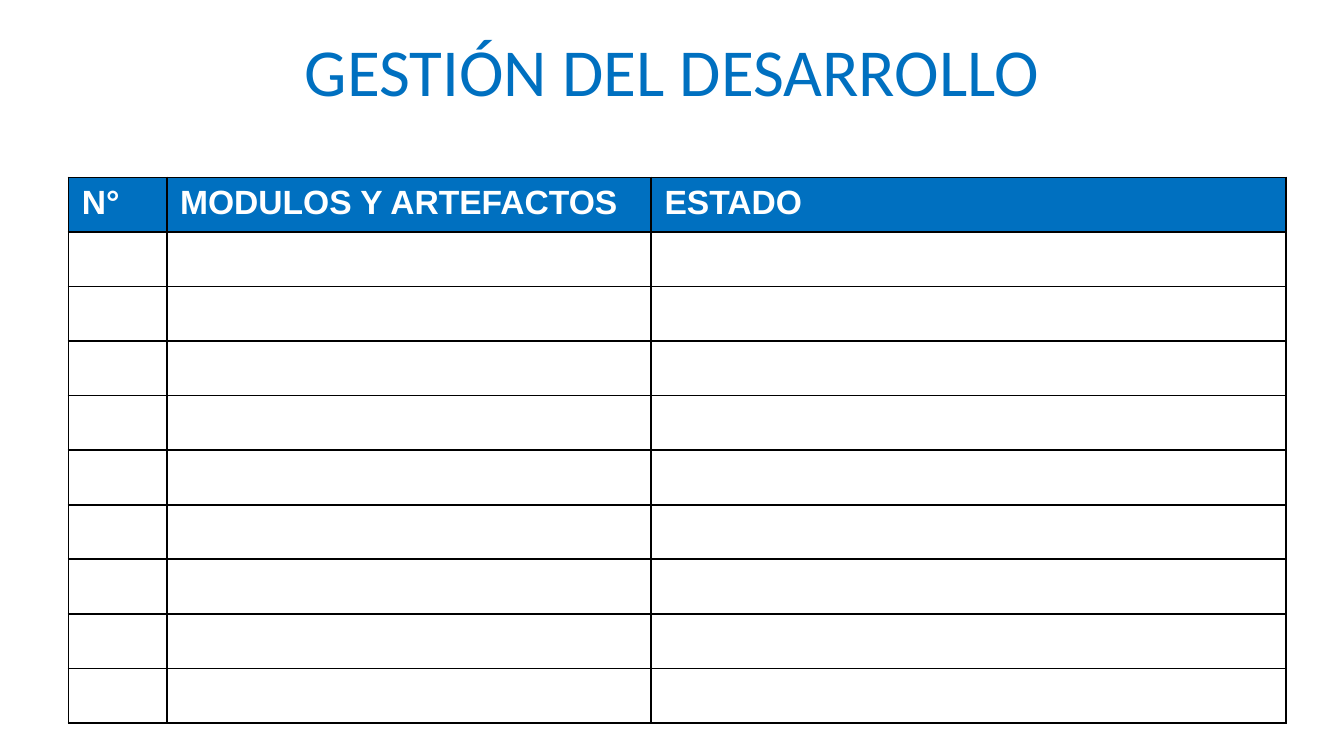
from lxml import etree
from pptx import Presentation
from pptx import util as u
from pptx.dml.color import RGBColor
from pptx.enum import text
from pptx.oxml import ns

BLUE = RGBColor(0x00, 0x70, 0xC0)
WHITE = RGBColor(0xFF, 0xFF, 0xFF)
BLACK = RGBColor(0x00, 0x00, 0x00)

PAGE_WIDTH = 10
PAGE_HEIGHT = PAGE_WIDTH * 9 / 16
HEADINGS = ["N°", "MODULOS Y ARTEFACTOS", "ESTADO"]
COLUMN_WIDTHS = [0.73, 3.6, 4.72]
ROW_COUNT = 10


def write_text(frame, words, size=18, font="Arial", color=BLACK, bold=False,
               align=text.PP_ALIGN.LEFT):
    para = frame.paragraphs[0]
    para.alignment = align
    span = para.add_run()
    span.text = words
    span.font.size = u.Pt(size)
    span.font.name = font
    span.font.bold = bold
    span.font.color.rgb = color


def add_borders(cell, color=BLACK, width=1):
    properties = cell._tc.get_or_add_tcPr()
    for index, side in enumerate(["lnL", "lnR", "lnT", "lnB"]):
        line = etree.Element(ns.qn(f"a:{side}"), w=str(u.Pt(width)))
        fill = etree.SubElement(line, ns.qn("a:solidFill"))
        etree.SubElement(fill, ns.qn("a:srgbClr"), val=str(color))
        properties.insert(index, line)


def place_title(page, left, top, width, height):
    title = page.shapes.title
    title.left, title.top = u.Inches(left), u.Inches(top)
    title.width, title.height = u.Inches(width), u.Inches(height)
    frame = title.text_frame
    frame.word_wrap = True
    frame.auto_size = text.MSO_AUTO_SIZE.NONE
    frame.vertical_anchor = text.MSO_ANCHOR.MIDDLE
    write_text(frame, "GESTIÓN DEL DESARROLLO", size=36, font="Calibri",
               color=BLUE, align=text.PP_ALIGN.CENTER)


def place_status_table(page, left, top, width, height):
    table = page.shapes.add_table(
        ROW_COUNT, len(HEADINGS), u.Inches(left), u.Inches(top),
        u.Inches(width), u.Inches(height)).table
    for column, share in zip(table.columns, COLUMN_WIDTHS):
        column.width = u.Inches(width * share / sum(COLUMN_WIDTHS))
    for row_index, row in enumerate(table.rows):
        row.height = u.Inches(height / ROW_COUNT)
        for cell, heading in zip(row.cells, HEADINGS):
            cell.fill.solid()
            cell.fill.fore_color.rgb = WHITE if row_index else BLUE
            add_borders(cell)
            if row_index == 0:
                write_text(cell.text_frame, heading, color=WHITE, bold=True)


deck = Presentation()
deck.slide_width = u.Inches(PAGE_WIDTH)
deck.slide_height = u.Inches(PAGE_HEIGHT)
page = deck.slides.add_slide(deck.slide_layouts[5])
place_title(page, 0, 0.2, PAGE_WIDTH, 0.63)
place_status_table(page, 0.51, 1.32, 9.06, 4.06)
deck.save("out.pptx")
